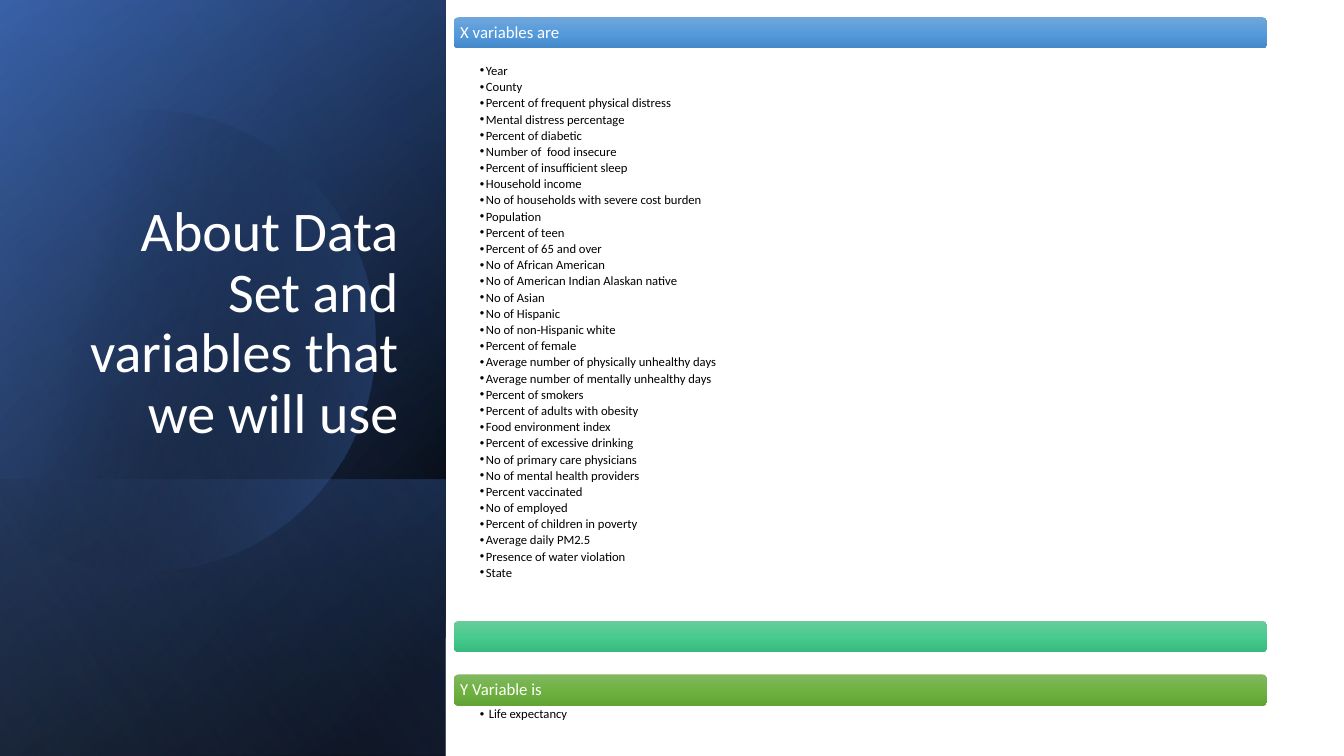
import itertools
import math

import lxml.etree
import pptx
import pptx.dml.color
import pptx.enum.shapes
import pptx.enum.text
import pptx.oxml.ns
import pptx.util

Inches = pptx.util.Inches
Pt = pptx.util.Pt
qn = pptx.oxml.ns.qn

FONT = "Calibri"
COLORS = {
    "black": "000000",
    "white": "FFFFFF",
    "navy": "2F5597",
    "blue": "4472C4",
    "pale": "8FAADC",
}
# Gradient stops: position, colour, opacity, all but the colour in percent
BAR_STOPS = {
    "blue": [(0, "71A6DB", 100), (50, "559BDB", 100), (100, "448ACA", 100)],
    "teal": [(0, "67CC9A", 100), (50, "47CB8E", 100), (100, "39BB7F", 100)],
    "green": [(0, "81B861", 100), (50, "6FB242", 100), (100, "62A336", 100)],
}
X_VARIABLES = [
    "Year", "County", "Percent of frequent physical distress",
    "Mental distress percentage", "Percent of diabetic",
    "Number of  food insecure", "Percent of insufficient sleep",
    "Household income", "No of households with severe cost burden",
    "Population", "Percent of teen", "Percent of 65 and over",
    "No of African American", "No of American Indian Alaskan native",
    "No of Asian", "No of Hispanic", "No of non-Hispanic white",
    "Percent of female", "Average number of physically unhealthy days",
    "Average number of mentally unhealthy days", "Percent of smokers",
    "Percent of adults with obesity", "Food environment index",
    "Percent of excessive drinking", "No of primary care physicians",
    "No of mental health providers", "Percent vaccinated", "No of employed",
    "Percent of children in poverty", "Average daily PM2.5",
    "Presence of water violation", "State",
]
Y_VARIABLES = [" Life expectancy"]


def paint_gradient(shape, stops, angle):
    """Fill a shape with a linear gradient, without outline or shadow."""
    shape.shadow.inherit = False
    shape.line.fill.background()
    shape.fill.background()
    properties = shape._element.spPr
    gradient = lxml.etree.Element(qn("a:gradFill"), rotWithShape="1")
    stop_list = lxml.etree.SubElement(gradient, qn("a:gsLst"))
    for position, color, opacity in stops:
        stop = lxml.etree.SubElement(stop_list, qn("a:gs"), pos=str(position * 1000))
        value = lxml.etree.SubElement(stop, qn("a:srgbClr"), val=color)
        if opacity < 100:
            lxml.etree.SubElement(value, qn("a:alpha"), val=str(opacity * 1000))
    lxml.etree.SubElement(gradient, qn("a:lin"), ang=str(angle * 60000), scaled="0")
    properties.replace(properties.find(qn("a:noFill")), gradient)


def add_text(paragraph, text, size, color):
    run = paragraph.add_run()
    run.text = text
    run.font.name = FONT
    run.font.size = Pt(size)
    run.font.color.rgb = pptx.dml.color.RGBColor.from_string(COLORS[color])
    paragraph.line_spacing = 0.9


def set_frame(frame, left, top, right, bottom, anchor):
    frame.word_wrap = True
    frame.auto_size = pptx.enum.text.MSO_AUTO_SIZE.NONE
    frame.margin_left, frame.margin_top = Inches(left), Inches(top)
    frame.margin_right, frame.margin_bottom = Inches(right), Inches(bottom)
    frame.vertical_anchor = anchor


def place(shape, left, top, width, height):
    shape.left, shape.top = Inches(left), Inches(top)
    shape.width, shape.height = Inches(width), Inches(height)


def add_panel_layer(slide, left, top, width, height, stops, angle):
    """Cover the box with a rectangle turned a quarter and mirrored."""
    layer = slide.shapes.add_shape(
        pptx.enum.shapes.MSO_SHAPE.RECTANGLE,
        Inches(left + (width - height) / 2), Inches(top + (height - width) / 2),
        Inches(height), Inches(width))
    layer.rotation = 90
    layer._element.spPr.find(qn("a:xfrm")).set("flipH", "1")
    paint_gradient(layer, stops, angle)


def add_disc(slide, center_x, center_y, radius):
    """Draw a disc cut off by a vertical chord on its left."""
    def point(degree, tangent=0):
        cosine, sine = math.cos(math.radians(degree)), math.sin(math.radians(degree))
        return (Inches(center_x + radius * (cosine - tangent * sine)),
                Inches(center_y + radius * (sine + tangent * cosine)))

    degrees = [-134, -90, 0, 90, 134]
    builder = slide.shapes.build_freeform(*point(degrees[0]))
    builder.add_line_segments([point(degree) for degree in degrees[1:]], close=True)
    disc = builder.convert_to_shape()
    # Bend each straight segment into a circular arc
    lines = list(disc._element.iter(qn("a:lnTo")))
    for line, (start, end) in zip(lines, itertools.pairwise(degrees)):
        handle = 4 / 3 * math.tan(math.radians(end - start) / 4)
        curve = lxml.etree.Element(qn("a:cubicBezTo"))
        for x, y in (point(start, handle), point(end, -handle), point(end)):
            lxml.etree.SubElement(curve, qn("a:pt"), x=str(x - disc.left), y=str(y - disc.top))
        line.getparent().replace(line, curve)
    stops = [(29, COLORS["black"], 0), (100, COLORS["blue"], 43)]
    paint_gradient(disc, stops, 14)


def add_title_panel(slide, left, top, width, height):
    black, blue = COLORS["black"], COLORS["blue"]
    box = (left, top, width, height)
    # Layered background
    add_panel_layer(slide, *box, [(8, black, 100), (100, COLORS["navy"], 100)], 50)
    add_panel_layer(slide, *box, [(0, black, 0), (99, blue, 46)], 30)
    add_panel_layer(slide, left, top + height - 2.74, width, 2.74,
                    [(2, blue, 29), (100, black, 30)], 130)
    add_disc(slide, left + 1.43, top + 3.38, 2.29)
    add_panel_layer(slide, *box, [(0, black, 0), (99, COLORS["pale"], 11)], 120)
    # Title, brought in front of the layers
    title = slide.shapes.title
    place(title, left + 0.64, top + 1.85, 3.41, 2.62)
    set_frame(title.text_frame, 0.1, 0.05, 0.1, 0.05, pptx.enum.text.MSO_ANCHOR.BOTTOM)
    paragraph = title.text_frame.paragraphs[0]
    paragraph.alignment = pptx.enum.text.PP_ALIGN.RIGHT
    add_text(paragraph, "About Data Set and variables that we will use", 40, "white")
    slide.shapes._spTree.append(title._element)


def add_bar(slide, left, top, width, color, heading=None):
    bar = slide.shapes.add_shape(
        pptx.enum.shapes.MSO_SHAPE.ROUNDED_RECTANGLE,
        Inches(left), Inches(top), Inches(width), Inches(0.31))
    paint_gradient(bar, BAR_STOPS[color], 90)
    if heading:
        set_frame(bar.text_frame, 0.05, 0.05, 0.05, 0.05, pptx.enum.text.MSO_ANCHOR.MIDDLE)
        paragraph = bar.text_frame.paragraphs[0]
        paragraph.alignment = pptx.enum.text.PP_ALIGN.LEFT
        add_text(paragraph, heading, 12, "white")


def fill_list(placeholder, left, top, width, height, items):
    place(placeholder, left, top, width, height)
    frame = placeholder.text_frame
    set_frame(frame, 0.26, 0.02, 0.09, 0.02, pptx.enum.text.MSO_ANCHOR.TOP)
    for index, item in enumerate(items):
        paragraph = frame.add_paragraph() if index else frame.paragraphs[0]
        paragraph.level = 1
        add_text(paragraph, item, 9, "black")
        paragraph.space_before = Pt(0)
        paragraph.space_after = Pt(1.8)
        properties = paragraph._p.get_or_add_pPr()
        properties.set("marL", str(Inches(0.06)))
        properties.set("indent", str(Inches(-0.06)))
        lxml.etree.SubElement(properties, qn("a:buChar"), char="•")


def add_variables(slide, left, top, width):
    x_list, y_list = slide.placeholders[1], slide.placeholders[2]
    add_bar(slide, left, top, width, "blue", "X variables are")
    fill_list(x_list, left, top + 0.45, width, 5.54, X_VARIABLES)
    add_bar(slide, left, top + 5.99, width, "teal")
    add_bar(slide, left, top + 6.52, width, "green", "Y Variable is")
    fill_list(y_list, left, top + 6.83, width, 0.22, Y_VARIABLES)


def main():
    presentation = pptx.Presentation()
    presentation.slide_width = Inches(13.33)
    presentation.slide_height = Inches(7.5)
    slide = presentation.slides.add_slide(presentation.slide_layouts[3])
    add_title_panel(slide, 0, 0, 4.42, 7.5)
    add_variables(slide, 4.5, 0.17, 8.07)
    presentation.save("out.pptx")


if __name__ == "__main__":
    main()
